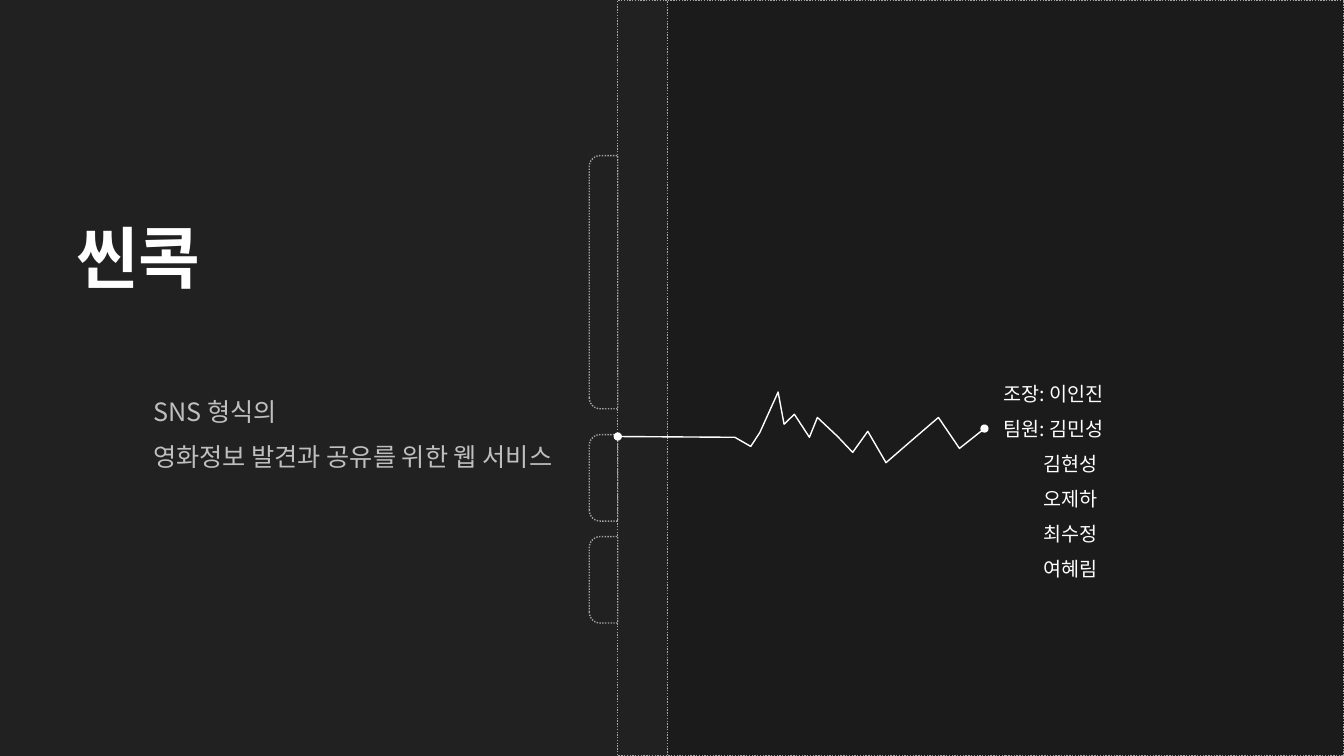
import pptx
import pptx.util
import pptx.dml.color
import pptx.enum.dml
import pptx.enum.shapes
import pptx.enum.text
import pptx.oxml.ns
import lxml.etree

Cm, Pt = pptx.util.Cm, pptx.util.Pt
SHAPE = pptx.enum.shapes.MSO_SHAPE
TEXT = pptx.enum.text

WIDE, HIGH = 33.87, 19.05
SPINE = 15.57
HUES = {"page": "212121", "panel": "1B1B1B", "dots": "A5A5A5",
        "white": "FFFFFF", "soft": "BFBFBF"}


def hue(name):
    return pptx.dml.color.RGBColor.from_string(HUES[name])


class Deck:
    """Holds the style and the current slide."""

    font = "Noto Sans CJK KR"

    def __init__(self):
        self.show = pptx.Presentation()
        self.show.slide_width, self.show.slide_height = Cm(WIDE), Cm(HIGH)
        self.slide = self.show.slides.add_slide(self.show.slide_layouts[0])
        back = self.slide.background.fill
        back.solid()
        back.fore_color.rgb = hue("page")

    def outline(self, shape, fill, line, dash=None):
        shape.shadow.inherit = False
        if fill:
            shape.fill.solid()
            shape.fill.fore_color.rgb = hue(fill)
        else:
            shape.fill.background()
        shape.line.color.rgb = hue(line)
        shape.line.width = Pt(1)
        if dash:
            shape.line.dash_style = dash

    def dotted(self, kind, left, top, width, height, fill=None):
        shape = self.slide.shapes.add_shape(
            kind, Cm(left), Cm(top), Cm(width), Cm(height))
        self.outline(shape, fill, "dots", pptx.enum.dml.MSO_LINE.ROUND_DOT)
        return shape

    def panel(self, left, fill):
        self.dotted(SHAPE.RECTANGLE, left, 0, WIDE - left, HIGH, fill)

    def pocket(self, mid, length, depth=0.72):
        """Rounded tab standing on the left of the spine."""
        tab = self.dotted(SHAPE.ROUND_2_SAME_RECTANGLE,
                          SPINE - (depth + length) / 2, mid - depth / 2,
                          length, depth)
        tab.adjustments[0] = 0.385
        tab.rotation = 270

    def pulse(self, points):
        start, *rest = [(Cm(x), Cm(y)) for x, y in points]
        trace = self.slide.shapes.build_freeform(*start)
        trace.add_line_segments(rest, close=False)
        shape = trace.convert_to_shape()
        self.outline(shape, None, "white")
        line = shape.line._get_or_add_ln()
        for end in ("headEnd", "tailEnd"):
            lxml.etree.SubElement(line, pptx.oxml.ns.qn("a:" + end), type="oval")

    def box(self, left, top, width, height):
        return self.slide.shapes.add_textbox(
            Cm(left), Cm(top), Cm(width), Cm(height))

    def place(self, holder, left, top, width, height):
        holder.left, holder.top = Cm(left), Cm(top)
        holder.width, holder.height = Cm(width), Cm(height)
        return holder

    def label(self, shape, paras, size, lead, color, bold=False, inset=0.13):
        """Each para is (list of lines, left indent)."""
        frame = shape.text_frame
        frame.word_wrap = True
        frame.auto_size = TEXT.MSO_AUTO_SIZE.NONE
        frame.vertical_anchor = TEXT.MSO_ANCHOR.TOP
        frame.margin_left = frame.margin_right = Cm(0.25)
        frame.margin_top = frame.margin_bottom = Cm(inset)
        for i, (lines, indent) in enumerate(paras):
            para = frame.add_paragraph() if i else frame.paragraphs[0]
            para.alignment = TEXT.PP_ALIGN.LEFT
            para.line_spacing = Pt(lead)
            para.space_before = para.space_after = Pt(0)
            props = para._p.get_or_add_pPr()
            props.set("marL", str(Cm(indent)))
            props.set("indent", "0")
            for j, words in enumerate(lines):
                if j:
                    para.add_line_break()
                run = para.add_run()
                run.text = words
                run.font.size, run.font.bold = Pt(size), bold
                run.font.color.rgb = hue(color)
                run.font.name = self.font
                lxml.etree.SubElement(run._r.get_or_add_rPr(),
                                      pptx.oxml.ns.qn("a:ea"), typeface=self.font)


def main():
    deck = Deck()
    title, body = deck.slide.placeholders

    # Folder pages and tabs
    deck.panel(SPINE, "page")
    deck.panel(16.82, "panel")
    for mid, length in ((7.11, 6.38), (12.04, 2.18), (14.61, 2.18)):
        deck.pocket(mid, length)

    # Pulse line from the team back to the spine
    deck.pulse([
        (24.81, 10.8), (24.18, 11.3), (23.65, 10.52), (23.01, 11.07),
        (22.33, 11.66), (21.87, 10.87), (21.49, 11.4), (21.11, 11),
        (20.6, 10.52), (20.4, 11.02), (20.02, 10.44), (19.76, 10.69),
        (19.61, 9.88), (19.15, 10.9), (18.92, 11.25), (18.52, 11.02),
        (SPINE, 11)])

    # Title and subtitle
    deck.label(deck.place(title, 1.68, 4.32, 10.92, 3.4),
               [(["씬콕"], 0)], 48, 86, "white", bold=True)
    deck.label(deck.place(body, 2.34, 9.38, 12.22, 5.38),
               [(["SNS 형식의", "영화정보 발견과 공유를 위한 웹 서비스"], 1.27)],
               18, 32, "soft", inset=0.25)

    # Team list
    team = [(["조장: 이인진"], 0), (["팀원: 김민성"], 0)]
    team += [([name], 1) for name in ("김현성", "오제하", "최수정", "여혜림")]
    deck.label(deck.box(25.04, 9.2, 4.32, 5.74), team, 14, 25, "white")

    deck.show.save("out.pptx")


if __name__ == "__main__":
    main()
